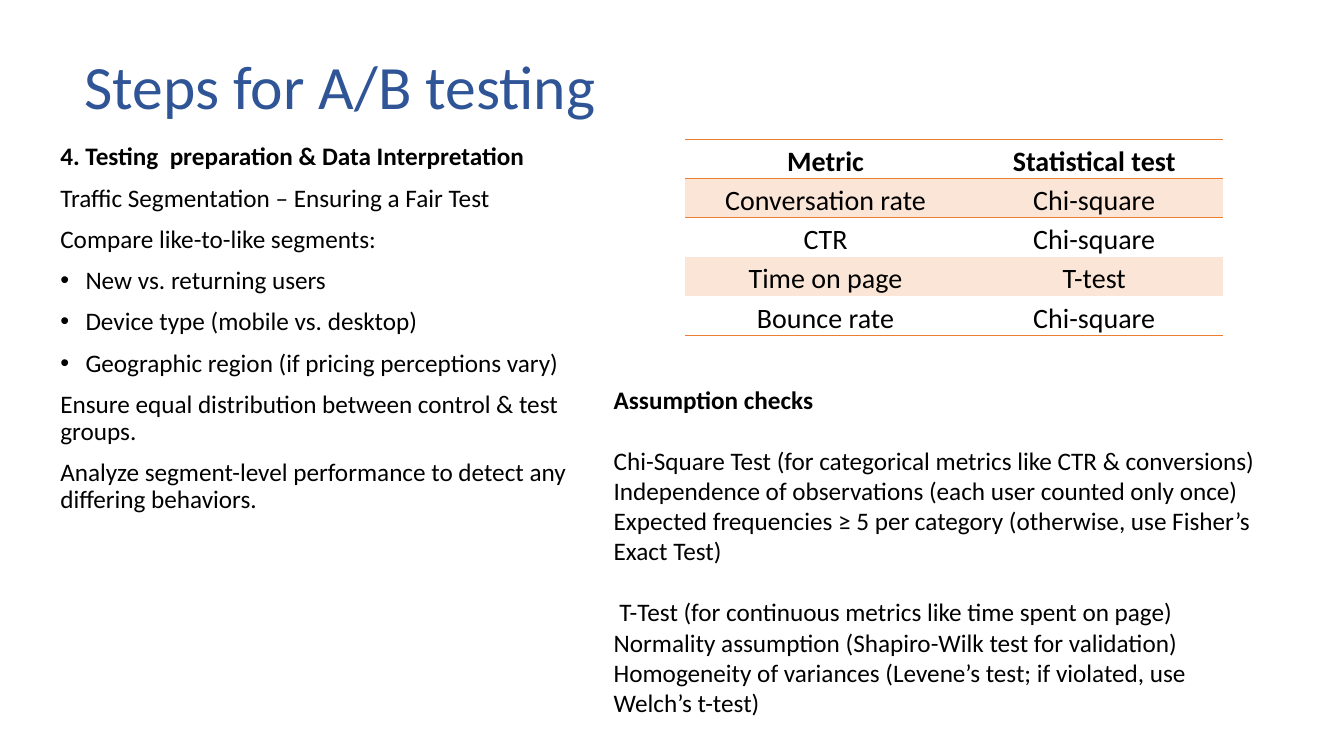
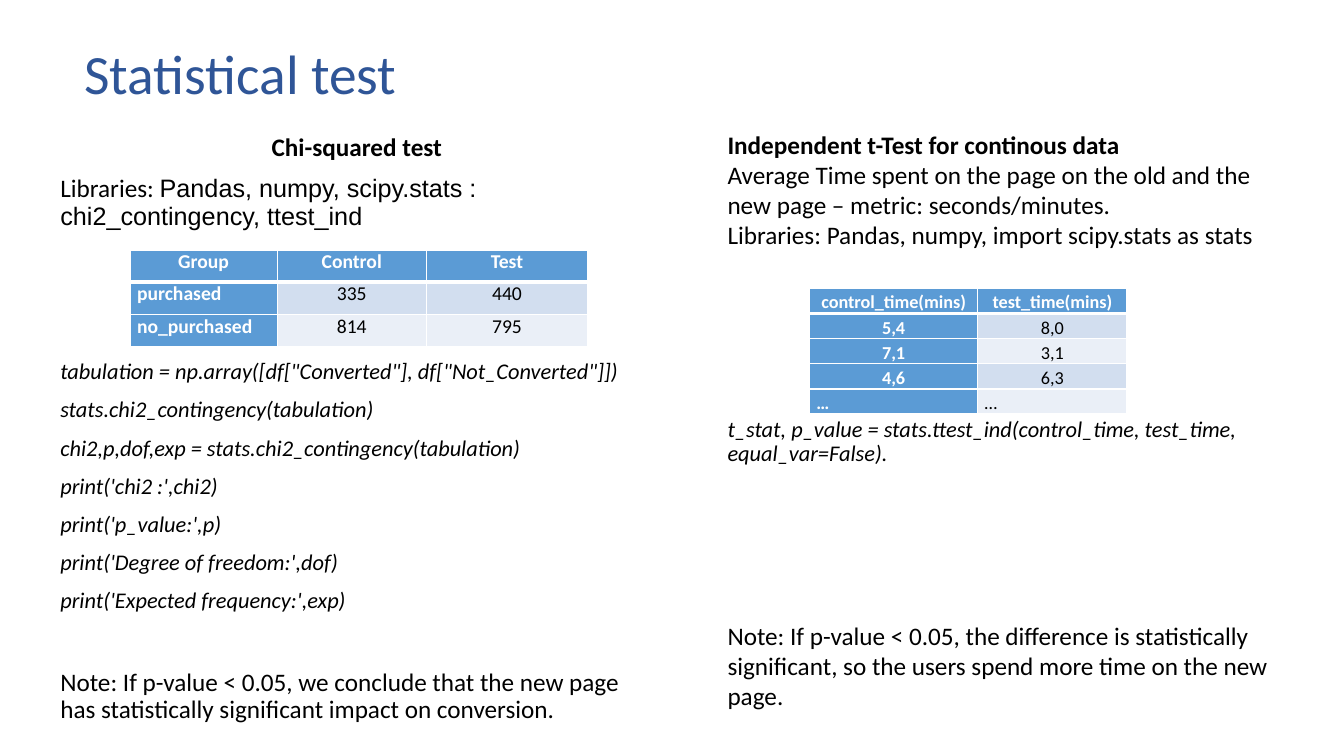
"""Build two slides about the statistics behind A/B testing."""
from dataclasses import dataclass

from lxml import etree
from pptx import Presentation
from pptx.dml.color import RGBColor
from pptx.enum.text import MSO_ANCHOR, PP_ALIGN
from pptx.oxml.ns import qn
from pptx.util import Pt

LEFT, CENTER = PP_ALIGN.LEFT, PP_ALIGN.CENTER
TOP, MIDDLE = MSO_ANCHOR.TOP, MSO_ANCHOR.MIDDLE
FONT, LIBRARY_FONT = "Calibri", "Arial"
BLACK, WHITE = "000000", "FFFFFF"
TITLE_BLUE, TABLE_BLUE = "2F5597", "5B9BD5"
BLUE_BANDS = ("D2DEEF", "EAEFF7")
ORANGE, ORANGE_TINT = "ED7D31", "FBE5D6"
TIGHT = 0.9
BLANK_LAYOUT = 6
NO_TABLE_STYLE = "{2D5ABB26-0587-4C30-8999-92F81FD0307C}"


@dataclass(frozen=True)
class Line:
    text: str
    size: float = 18
    bold: bool = False
    italic: bool = False
    color: str = BLACK
    align: PP_ALIGN = LEFT
    before: float = 0
    spacing: float = 1
    bullet: bool = False
    library_text: str = ""


@dataclass(frozen=True)
class Box:
    left: float
    top: float
    width: float
    height: float


@dataclass(frozen=True)
class TableLook:
    size: float
    row_height: float
    spacing: float
    bands: tuple[str, str]
    rule_color: str
    header_rule: float
    inner_rule: float
    accent_fill: str = ""
    accent_color: str = BLACK
    accent_column: bool = False
    left_words: bool = False


RULED = TableLook(20, 28.1, 1.15, (ORANGE_TINT, ""), ORANGE, 1, 0)
GROUP_GRID = TableLook(14, 23, 1, BLUE_BANDS, WHITE, 3, 1,
                       TABLE_BLUE, WHITE, True, True)
TIME_GRID = TableLook(13, 17.7, 1.15, BLUE_BANDS, WHITE, 3, 1,
                      TABLE_BLUE, WHITE, True, True)


def rgb(value: str) -> RGBColor:
    """Turn a hex string into a colour."""
    return RGBColor.from_string(value)


def format_run(run, line: Line, font: str = FONT) -> None:
    """Apply the character style of a line to a run."""
    run.font.name = font
    run.font.size = Pt(line.size)
    run.font.bold = line.bold
    run.font.italic = line.italic
    run.font.color.rgb = rgb(line.color)


def write_line(paragraph, line: Line) -> None:
    """Fill and format one paragraph."""
    paragraph.text = line.text
    paragraph.alignment = line.align
    paragraph.line_spacing = line.spacing
    paragraph.space_before = Pt(line.before)
    format_run(paragraph.runs[0], line)
    if line.library_text:
        run = paragraph.add_run()
        run.text = line.library_text
        format_run(run, line, LIBRARY_FONT)
    if line.bullet:
        properties = paragraph._p.get_or_add_pPr()
        properties.set("marL", str(Pt(18)))
        properties.set("indent", str(-Pt(18)))
        etree.SubElement(properties, qn("a:buFont"), typeface=LIBRARY_FONT)
        etree.SubElement(properties, qn("a:buChar"), char="•")


def add_text(slide, box: Box, lines: list[Line],
             anchor: MSO_ANCHOR = TOP) -> None:
    """Add a wrapping text box with one paragraph for each line."""
    shape = slide.shapes.add_textbox(Pt(box.left), Pt(box.top),
                                     Pt(box.width), Pt(box.height))
    text_frame = shape.text_frame
    text_frame.word_wrap = True
    text_frame.vertical_anchor = anchor
    for index, line in enumerate(lines):
        paragraph = text_frame.add_paragraph() if index else text_frame.paragraphs[0]
        write_line(paragraph, line)


def add_titled_slide(presentation, title: str, size: float, height: float):
    """Add a blank slide with the shared title style."""
    slide = presentation.slides.add_slide(presentation.slide_layouts[BLANK_LAYOUT])
    add_text(slide, Box(53.3, 28.8, 828, height),
             [Line(title, size, color=TITLE_BLUE, spacing=TIGHT)], MIDDLE)
    return slide


def set_border(cell, edge: str, width: float, color: str) -> None:
    """Draw one edge of a table cell, or nothing for a zero width."""
    if not width:
        return
    border = etree.SubElement(cell._tc.get_or_add_tcPr(), qn(f"a:{edge}"),
                              w=str(Pt(width)))
    fill = etree.SubElement(border, qn("a:solidFill"))
    etree.SubElement(fill, qn("a:srgbClr"), val=color)


def style_cell(cell, text: str, row: int, column: int, rules: list[float],
               look: TableLook) -> None:
    """Write a table cell with its margins, borders and fill."""
    is_header = row == 0
    is_accent = is_header or (look.accent_column and column == 0)
    is_number = any(character.isdigit() for character in text)
    cell.margin_left = cell.margin_right = Pt(5)
    cell.margin_top = cell.margin_bottom = Pt(0)
    align = LEFT if look.left_words and not is_header and not is_number else CENTER
    color = look.accent_color if is_accent else BLACK
    write_line(cell.text_frame.paragraphs[0],
               Line(text, look.size, bold=is_accent, color=color, align=align,
                    spacing=look.spacing))
    widths = (look.inner_rule, look.inner_rule, rules[row], rules[row + 1])
    for edge, width in zip(("lnL", "lnR", "lnT", "lnB"), widths):
        set_border(cell, edge, width, look.rule_color)
    fill = look.accent_fill if is_accent else look.bands[(row - 1) % 2]
    if fill:
        cell.fill.solid()
        cell.fill.fore_color.rgb = rgb(fill)
    else:
        cell.fill.background()


def add_table(slide, left: float, top: float, widths: list[float],
              rows: list[tuple[str, ...]], look: TableLook) -> None:
    """Add a table whose first row is its header."""
    shape = slide.shapes.add_table(len(rows), len(widths), Pt(left), Pt(top),
                                   Pt(sum(widths)), Pt(look.row_height * len(rows)))
    for style in shape.element.iter(qn("a:tableStyleId")):
        style.text = NO_TABLE_STYLE
    table = shape.table
    table.horz_banding = False
    for column, width in zip(table.columns, widths):
        column.width = Pt(width)
    rules = [1, look.header_rule, *[look.inner_rule] * (len(rows) - 2), 1]
    for row, texts in enumerate(rows):
        table.rows[row].height = Pt(look.row_height)
        for column, text in enumerate(texts):
            style_cell(table.cell(row, column), text, row, column, rules, look)


def body(text: str, **style) -> Line:
    """Make a line with the spacing of the left column."""
    return Line(text, **{"before": 10, "spacing": TIGHT, **style})


def build_steps_slide(presentation) -> None:
    """Build the slide on preparation and assumption checks."""
    slide = add_titled_slide(presentation, "Steps for A/B testing", 44, 70.6)
    add_text(slide, Box(36, 99.4, 395.3, 285.8), [
        body("4. Testing  preparation & Data Interpretation", bold=True),
        body("Traffic Segmentation – Ensuring a Fair Test"),
        body("Compare like-to-like segments:"),
        body("New vs. returning users", bullet=True),
        body("Device type (mobile vs. desktop)", bullet=True),
        body("Geographic region (if pricing perceptions vary)", bullet=True),
        body("Ensure equal distribution between control & test groups."),
        body("Analyze segment-level performance to detect any differing behaviors."),
    ])
    add_text(slide, Box(431.3, 270.7, 480.2, 247), [
        Line("Assumption checks", bold=True),
        Line("Chi-Square Test (for categorical metrics like CTR & conversions)",
             before=22),
        Line("Independence of observations (each user counted only once)"),
        Line("Expected frequencies ≥ 5 per category (otherwise, use Fisher’s "
             "Exact Test)"),
        Line(" T-Test (for continuous metrics like time spent on page)", before=22),
        Line("Normality assumption (Shapiro-Wilk test for validation)"),
        Line("Homogeneity of variances (Levene’s test; if violated, use "
             "Welch’s t-test)"),
    ])
    add_table(slide, 489.6, 99.4, [200.2, 183.6], [
        ("Metric", "Statistical test"),
        ("Conversation rate", "Chi-square"),
        ("CTR", "Chi-square"),
        ("Time on page", "T-test"),
        ("Bounce rate", "Chi-square"),
    ], RULED)


def build_test_slide(presentation) -> None:
    """Build the slide with the two statistical tests."""
    slide = add_titled_slide(presentation, "Statistical test", 39.6, 51.8)
    code_lines = [
        "stats.chi2_contingency(tabulation)",
        "chi2,p,dof,exp = stats.chi2_contingency(tabulation)",
        "print('chi2 :',chi2)",
        "print('p_value:',p)",
        "print('Degree of freedom:',dof)",
        "print('Expected frequency:',exp)",
    ]
    add_text(slide, Box(36, 92.9, 437.8, 434.9), [
        body("Chi-squared test", bold=True, align=CENTER),
        body("Libraries: ",
             library_text="Pandas, numpy, scipy.stats : chi2_contingency, ttest_ind"),
        body('tabulation = np.array([df["Converted"], df["Not_Converted"]])',
             size=16, italic=True, before=92.7),
        *[body(code, size=16, italic=True) for code in code_lines],
        body("Note: If p-value < 0.05, we conclude that the new page has "
             "statistically significant impact on conversion.", before=39.8),
    ])
    add_text(slide, Box(512.6, 88.6, 411.1, 440), [
        Line("Independent t-Test for continous data", bold=True),
        Line("Average Time spent on the page on the old and the new page – "
             "metric: seconds/minutes."),
        Line("Libraries: Pandas, numpy, import scipy.stats as stats"),
        Line("t_stat, p_value = stats.ttest_ind(control_time, test_time, "
             "equal_var=False).", size=16, italic=True, before=119.9, spacing=TIGHT),
        Line("Note: If p-value < 0.05, the difference is statistically significant, "
             "so the users spend more time on the new page.", before=109.9),
    ])
    add_table(slide, 92.9, 178.6, [105.1, 106.6, 115.2], [
        ("Group", "Control", "Test"),
        ("purchased", "335", "440"),
        ("no_purchased", "814", "795"),
    ], GROUP_GRID)
    add_table(slide, 578.2, 205.9, [120.2, 106.6], [
        ("control_time(mins)", "test_time(mins)"),
        ("5,4", "8,0"),
        ("7,1", "3,1"),
        ("4,6", "6,3"),
        ("…", "…"),
    ], TIME_GRID)


def main() -> None:
    """Build and save the presentation."""
    presentation = Presentation()
    presentation.slide_width, presentation.slide_height = Pt(960), Pt(540)
    build_steps_slide(presentation)
    build_test_slide(presentation)
    presentation.save("out.pptx")


if __name__ == "__main__":
    main()
